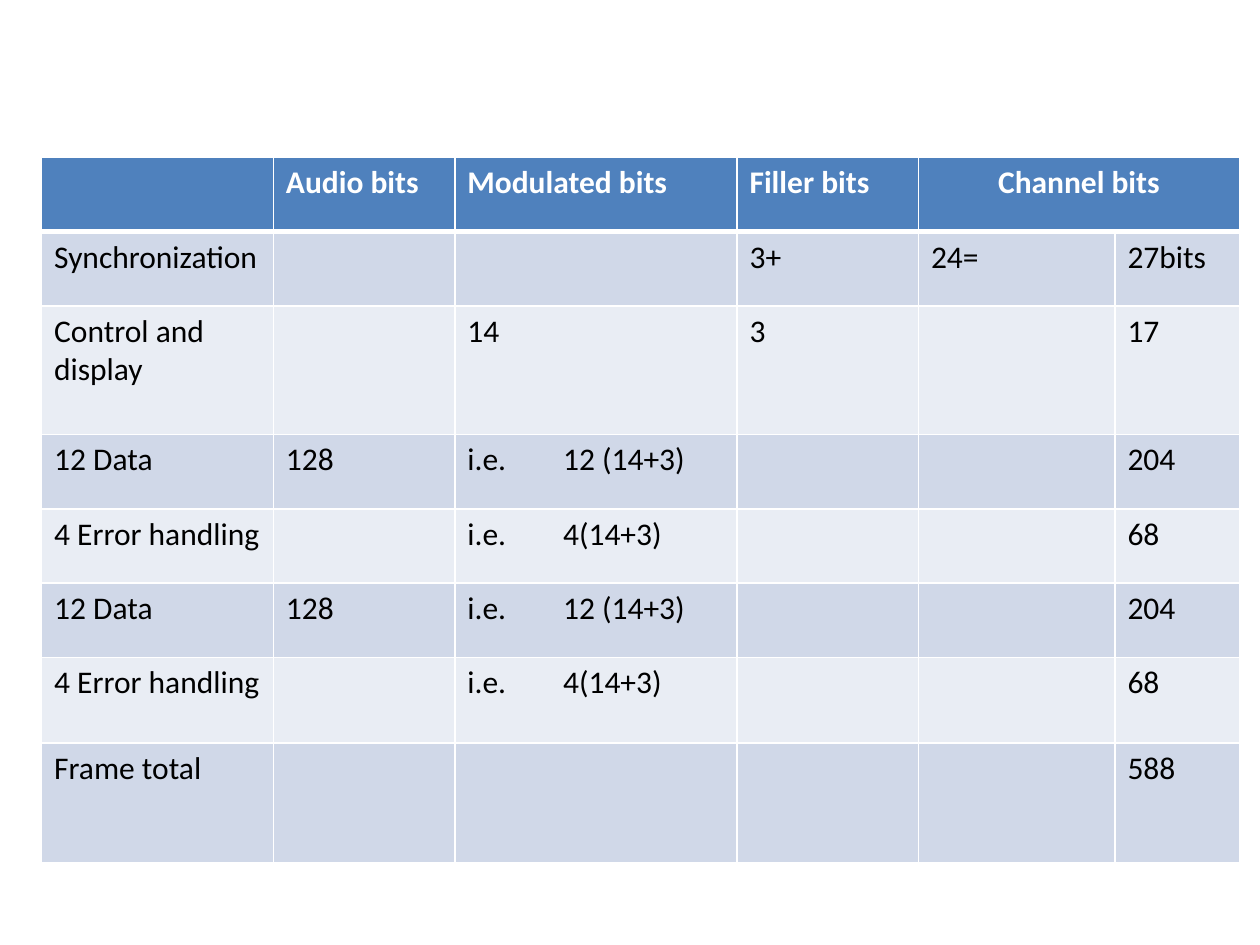
from lxml import etree
from pptx import Presentation
from pptx.dml.color import RGBColor
from pptx.enum import text
from pptx.oxml import ns
from pptx.util import Inches, Pt


def rgb(value):
    return RGBColor.from_string(value)


def add_border(cell, side, width):
    ln = etree.SubElement(cell._tc.get_or_add_tcPr(), ns.qn("a:ln" + side), w=str(Pt(width)))
    fill = etree.SubElement(ln, ns.qn("a:solidFill"))
    etree.SubElement(fill, ns.qn("a:srgbClr"), val="FFFFFF")


prs = Presentation()
prs.slide_width, prs.slide_height = Inches(10), Inches(7.5)
s = prs.slides.add_slide(prs.slide_layouts[6])

# Frame contents; a tab separates "i.e." from its sum
data = ["12 Data", "128", "i.e.\t12 (14+3)", "", "", "204"]
error = ["4 Error handling", "", "i.e.\t4(14+3)", "", "", "68"]
rows = [
    ["", "Audio bits", "Modulated bits", "Filler bits", "Channel bits", ""],
    ["Synchronization", "", "", "3+", "24=", "27bits"],
    ["Control and display", "", "14", "3", "", "17"],
    data, error, data, error,
    ["Frame total", "", "", "", "", "588"],
]
widths = [1.84, 1.44, 2.24, 1.44, 1.56, 0.99]
heights = [0.59, 0.59, 1.02, 0.59, 0.59, 0.59, 0.68, 0.95]

# Table grid
table = s.shapes.add_table(len(rows), len(widths), Inches(0.33), Inches(1.25),
                           Inches(sum(widths)), Inches(sum(heights))).table
for column, width in zip(table.columns, widths):
    column.width = Inches(width)
for row, height in zip(table.rows, heights):
    row.height = Inches(height)
table.cell(0, 4).merge(table.cell(0, 5))

# Cells: header row, then alternating bands
for i, values in enumerate(rows):
    header = i == 0
    color = "4F81BD" if header else ("E9EDF4", "D0D8E8")[i % 2]
    for j, value in enumerate(values):
        cell = table.cell(i, j)
        for side in "LRTB":
            thick = (i, side) in ((0, "B"), (1, "T"))
            add_border(cell, side, 3 if thick else 1)
        cell.fill.solid()
        cell.fill.fore_color.rgb = rgb(color)
        if not value:
            continue
        p = cell.text_frame.paragraphs[0]
        p.text = value
        if "\t" in value:
            tabs = etree.SubElement(p._p.get_or_add_pPr(), ns.qn("a:tabLst"))
            etree.SubElement(tabs, ns.qn("a:tab"), pos=str(Inches(0.76)), algn="l")
        for r in p.runs:
            r.font.name = "Calibri"
            r.font.size = Pt(18)
            r.font.bold = header
            r.font.color.rgb = rgb("FFFFFF" if header else "000000")

table.cell(0, 4).text_frame.paragraphs[0].alignment = text.PP_ALIGN.CENTER

prs.save("out.pptx")
